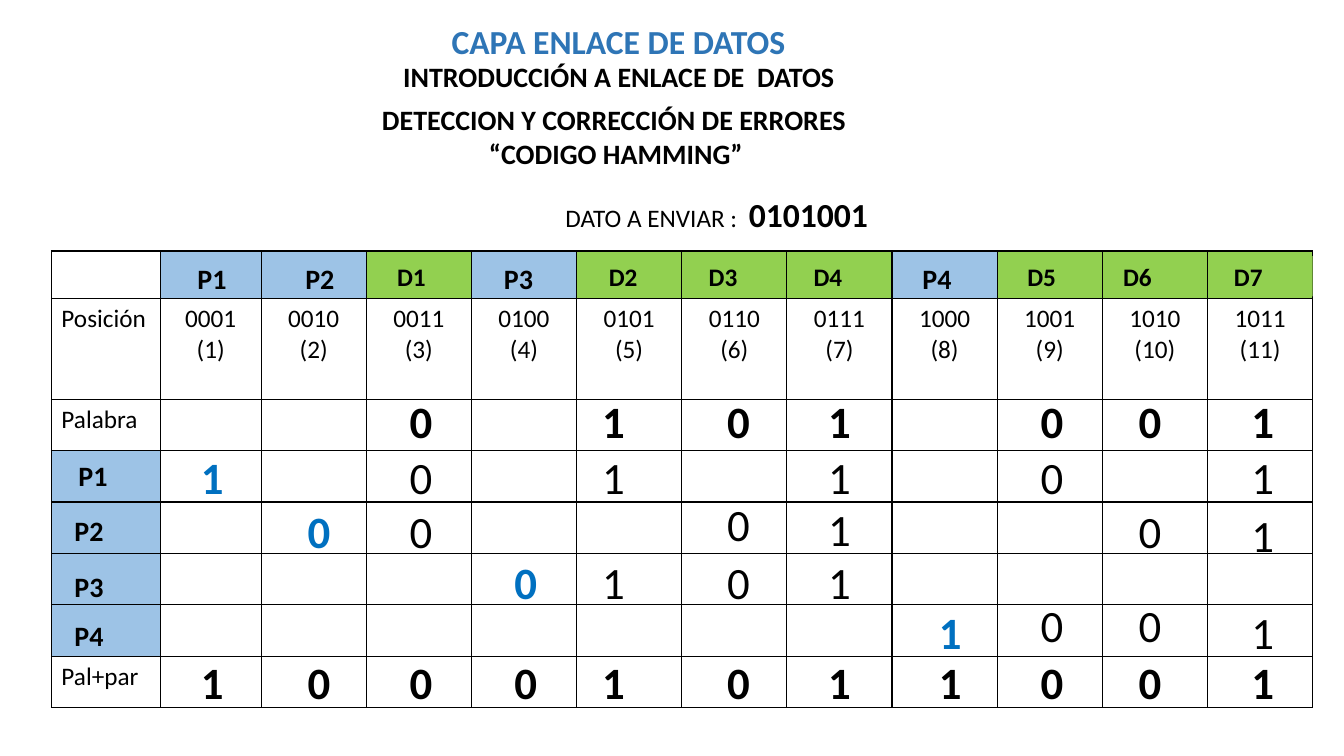
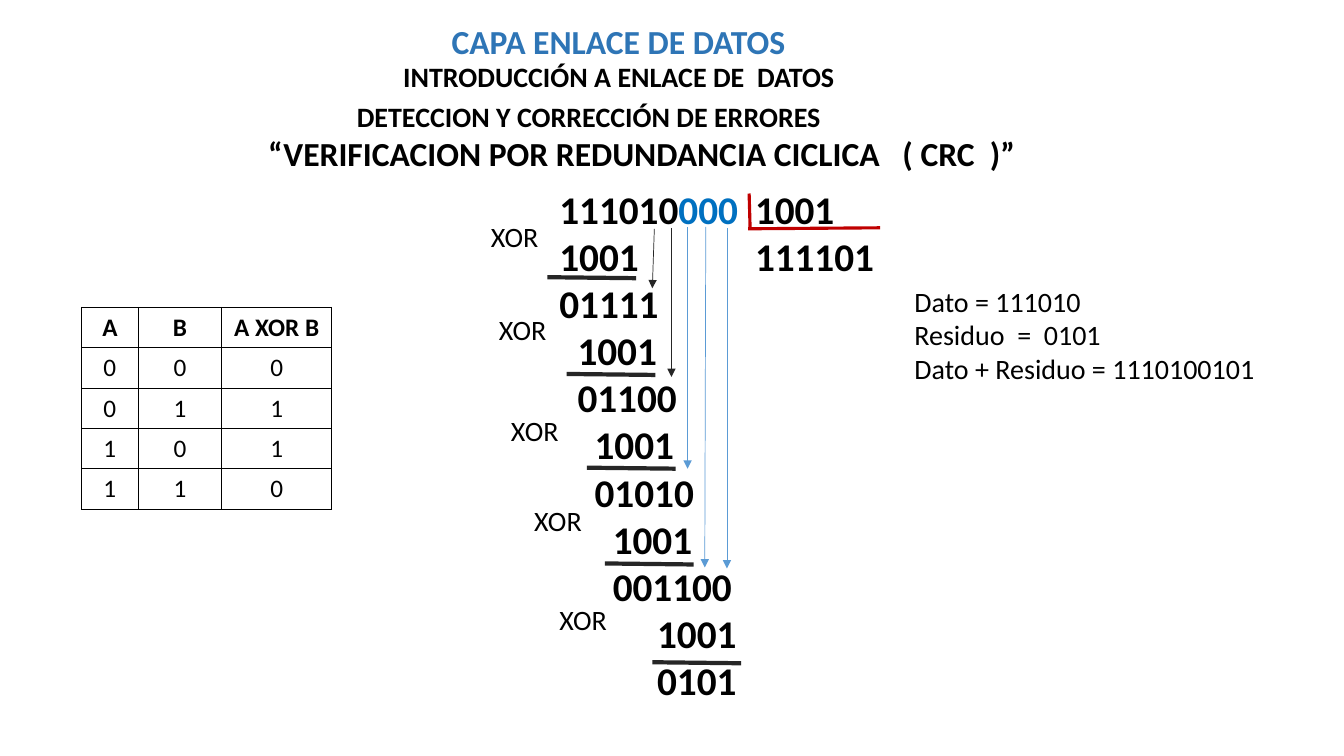
from dataclasses import dataclass, field
from typing import NamedTuple

from pptx import Presentation
from pptx.dml.color import RGBColor as Rgb
from pptx.enum.shapes import MSO_CONNECTOR as Link, MSO_SHAPE as Form
from pptx.enum.text import MSO_ANCHOR as Anchor, PP_ALIGN as Align
from pptx.oxml.ns import qn
from pptx.oxml.xmlchemy import OxmlElement as Node
from pptx.util import Inches, Pt


@dataclass(frozen=True)
class Theme:
    font: str = "Calibri"
    black: str = "000000"
    title: str = "2E75B6"
    blue: str = "0070C0"
    sky: str = "9DC3E6"
    green: str = "92D050"
    dark: str = "262626"
    arrow: str = "5B9BD5"
    red: str = "C00000"
    small: int = 18
    body: int = 20
    head: int = 24
    sums: int = 28
    digit: int = 32


T = Theme()


class Run(NamedTuple):
    text: str
    size: int = T.body
    bold: bool = False
    color: str = T.black


@dataclass
class Para:
    runs: list[Run]
    indent: float = 0
    align: Align = Align.LEFT
    pitch: float = 0


@dataclass
class Box:
    x: float
    y: float
    w: float
    h: float
    paras: list[Para]
    fill: str = ""


@dataclass
class Line:
    x1: float
    y1: float
    x2: float
    y2: float
    color: str
    width: float
    arrow: bool = False


@dataclass
class Cell:
    paras: list[Para] = field(default_factory=list)
    fill: str = ""


class Row(NamedTuple):
    y: float
    bits: str
    bold: bool = False
    parity: int = 0
    nudge: dict[int, float] = {}


def write(frame, paras: list[Para]) -> None:
    for i, para in enumerate(paras):
        p = frame.paragraphs[0] if i == 0 else frame.add_paragraph()
        p.alignment = para.align
        if para.pitch:
            p.line_spacing = para.pitch
        props = p._p.get_or_add_pPr()
        props.set("marL", str(Inches(para.indent)))
        props.set("indent", "0")
        for run in para.runs:
            r = p.add_run()
            r.text = run.text
            r.font.name = T.font
            r.font.size = Pt(run.size)
            r.font.bold = run.bold
            r.font.color.rgb = Rgb.from_string(run.color)


def put(slide, box: Box) -> None:
    area = [Inches(v) for v in (box.x, box.y, box.w, box.h)]
    if box.fill:
        shape = slide.shapes.add_shape(Form.RECTANGLE, *area)
        shape.shadow.inherit = False
        shape.fill.solid()
        shape.fill.fore_color.rgb = Rgb.from_string(box.fill)
        shape.line.fill.background()
    else:
        shape = slide.shapes.add_textbox(*area)
    frame = shape.text_frame
    frame.word_wrap = True
    frame.vertical_anchor = Anchor.TOP
    write(frame, box.paras)


def label(slide, x: float, y: float, w: float, h: float, run: Run,
          align: Align = Align.LEFT, fill: str = "") -> None:
    put(slide, Box(x, y, w, h, [Para([run], align=align)], fill))


def draw(slide, line: Line) -> None:
    ends = [Inches(v) for v in (line.x1, line.y1, line.x2, line.y2)]
    link = slide.shapes.add_connector(Link.STRAIGHT, *ends)
    link.line.color.rgb = Rgb.from_string(line.color)
    link.line.width = Pt(line.width)
    props = link._element.spPr
    if line.arrow:
        tail = Node("a:tailEnd")
        tail.set("type", "triangle")
        props.find(qn("a:ln")).append(tail)
    props.append(Node("a:effectLst"))


def edge(cell) -> None:
    props = cell._tc.get_or_add_tcPr()
    for side in "LRTB":
        ln = Node(f"a:ln{side}")
        ln.set("w", str(Pt(1)))
        fill = Node("a:solidFill")
        tint = Node("a:srgbClr")
        tint.set("val", T.black)
        fill.append(tint)
        ln.append(fill)
        props.append(ln)


def grid(slide, x: float, y: float, cols: list[float], rows: list[float],
         cells: list[list[Cell]]) -> None:
    area = [Inches(v) for v in (x, y, sum(cols), sum(rows))]
    table = slide.shapes.add_table(len(rows), len(cols), *area).table
    table.first_row = table.horz_banding = False
    for col, w in zip(table.columns, cols):
        col.width = Inches(w)
    for row, h in zip(table.rows, rows):
        row.height = Inches(h)
    for r, line in enumerate(cells):
        for c, item in enumerate(line):
            cell = table.cell(r, c)
            edge(cell)
            if item.fill:
                cell.fill.solid()
                cell.fill.fore_color.rgb = Rgb.from_string(item.fill)
            else:
                cell.fill.background()
            write(cell.text_frame, item.paras)


def start(deck, topic: Box):
    slide = deck.slides.add_slide(deck.slide_layouts[6])
    title = Run("CAPA ENLACE DE DATOS", T.head, True, T.title)
    put(slide, Box(4.38, 0.2, 3.69, 0.6, [Para([title], pitch=0.9)]))
    label(slide, 3.9, 0.54, 4.66, 0.44,
          Run("INTRODUCCIÓN A ENLACE DE  DATOS", bold=True))
    lead = Run("DETECCION Y CORRECCIÓN DE ERRORES", bold=True)
    topic.paras.insert(0, Para([lead], 1.07))
    put(slide, topic)
    return slide


def plain(text: str, align: Align = Align.LEFT, bold: bool = False) -> Para:
    return Para([Run(text, T.small, bold)], align=align)


def hamming(deck) -> None:
    name = Run("“CODIGO HAMMING”", bold=True)
    slide = start(deck, Box(2.62, 0.97, 6.21, 0.77, [Para([name], 2.13)]))

    heads = ["P1", "P2", "D1", "P3", "D2", "D3", "D4", "P4", "D5", "D6", "D7"]
    fills = [T.sky if head[0] == "P" else T.green for head in heads]
    spots = [[plain(f"{n:04b}", Align.CENTER), plain(f"({n})", Align.CENTER)]
             for n in range(1, 12)]
    blank = [Cell() for _ in heads]
    cells = [
        [Cell()] + [Cell(fill=fill) for fill in fills],
        [Cell([plain("Posición")])] + [Cell(spot) for spot in spots],
        [Cell([plain("Palabra")])] + blank,
        *[[Cell(fill=T.sky)] + blank for _ in range(4)],
        [Cell([plain("Pal+par")])] + blank,
    ]
    wide = (12.51 - 1.08 - 1) / 10
    grid(slide, 0.51, 2.49, [1.08, 1] + [wide] * 10, [0.47, 1] + [0.51] * 6, cells)

    lefts = [1.86, 2.93, 3.84, 4.9, 5.94, 6.93, 7.97, 9.05, 10.09, 11.04, 12.14]
    for head, x in zip(heads, lefts):
        size = T.body if head[0] == "P" else T.small
        label(slide, x, 2.55 if head[0] == "P" else 2.54, 0.88, 0.4,
              Run(head, size, True), fill=T.green if head == "D7" else "")

    put(slide, Box(4.51, 1.87, 6.97, 0.5, [Para([
        Run("DATO A ENVIAR :  ", T.small), Run("0101001", T.head, True)], 1)]))

    sides = [(0.68, 4.5), (0.64, 5.05), (0.64, 5.6), (0.64, 6.09)]
    for n, (x, y) in enumerate(sides, 1):
        label(slide, x, y, 0.73, 0.44, Run(f"P{n}", bold=True))

    marks = [1.75, 2.81, 3.82, 4.86, 5.73, 6.97, 7.97, 9.07, 10.08, 11.05, 12.17]
    rows = [
        Row(3.86, "..0.101.001", True),
        Row(4.41, "1.0.1.1.0.1", parity=1),
        Row(4.95, ".00..01..01", parity=2, nudge={6: -0.07, 7: -0.02, 11: 0.04}),
        Row(5.45, "...0101....", parity=4),
        Row(5.95, ".......1001", parity=8, nudge={9: -0.07, 10: -0.07}),
        Row(6.45, "10001011001", True),
    ]
    for row in rows:
        for n, (bit, x) in enumerate(zip(row.bits, marks), 1):
            if bit == ".":
                continue
            check = n == row.parity
            run = Run(bit, T.digit, row.bold or check, T.blue if check else T.black)
            label(slide, x, row.y + row.nudge.get(n, 0), 0.71, 0.64, run, Align.CENTER)


def cyclic(deck) -> None:
    name = Run("“VERIFICACION POR REDUNDANCIA CICLICA   ( CRC  )”", T.head, True)
    slide = start(deck, Box(2.37, 0.94, 9.09, 0.84, [Para([name], 0.19)]))

    first = Para([Run("111010", T.sums, True), Run("000", T.sums, True, T.blue)])
    steps = [("1001", 0), ("01111", 0), ("1001", 0.18), ("01100", 0.18),
             ("1001", 0.35), ("01010", 0.35), ("1001", 0.53), ("001100", 0.53),
             ("1001", 0.97), ("0101", 0.97)]
    sums = [Para([Run(text, T.sums, True)], gap) for text, gap in steps]
    put(slide, Box(5.45, 1.79, 2.1, 5.28, [first] + sums))
    ratio = [Para([Run(text, T.sums, True)]) for text in ("1001", "111101")]
    put(slide, Box(7.39, 1.79, 1.6, 1.03, ratio))

    bars = [(5.43, 2.75), (5.62, 3.71), (5.82, 4.64), (6, 5.59), (6.47, 6.57)]
    for x, y in bars:
        draw(slide, Line(x, y, x + 0.88, y + 0.01, T.dark, 3))
    drops = [(7.21, 2.26, 7.21, 5.64, T.arrow), (7, 2.25, 6.99, 5.63, T.arrow),
             (6.82, 2.25, 6.82, 4.65, T.arrow), (6.66, 2.26, 6.66, 3.74, T.dark),
             (6.49, 2.27, 6.47, 2.86, T.dark)]
    for drop in drops:
        draw(slide, Line(*drop, 0.5, True))
    draw(slide, Line(7.43, 1.92, 7.44, 2.27, T.red, 2.25))
    draw(slide, Line(8.73, 2.26, 7.42, 2.27, T.red, 2.25))

    for x, y in [(4.77, 2.13), (4.85, 3.05), (4.97, 4.05), (5.2, 4.95), (5.45, 5.93)]:
        label(slide, x, y, 0.97, 0.44, Run("XOR"))

    truth = [("A", "B", "A XOR B")]
    truth += [(str(a), str(b), str(a ^ b)) for a in (0, 1) for b in (0, 1)]
    cells = [[Cell([plain(text, Align.CENTER, r == 0)]) for text in line]
             for r, line in enumerate(truth)]
    grid(slide, 0.81, 3.05, [0.56, 0.83, 1.09], [0.4] * 5, cells)

    notes = ["Dato = 111010", "Residuo  =  0101", "Dato + Residuo = 1110100101"]
    put(slide, Box(8.97, 2.77, 4.22, 1.72, [Para([Run(note)]) for note in notes]))


def main() -> None:
    deck = Presentation()
    deck.slide_width = Inches(13.33)
    deck.slide_height = Inches(7.5)
    hamming(deck)
    cyclic(deck)
    deck.save("out.pptx")


if __name__ == "__main__":
    main()
